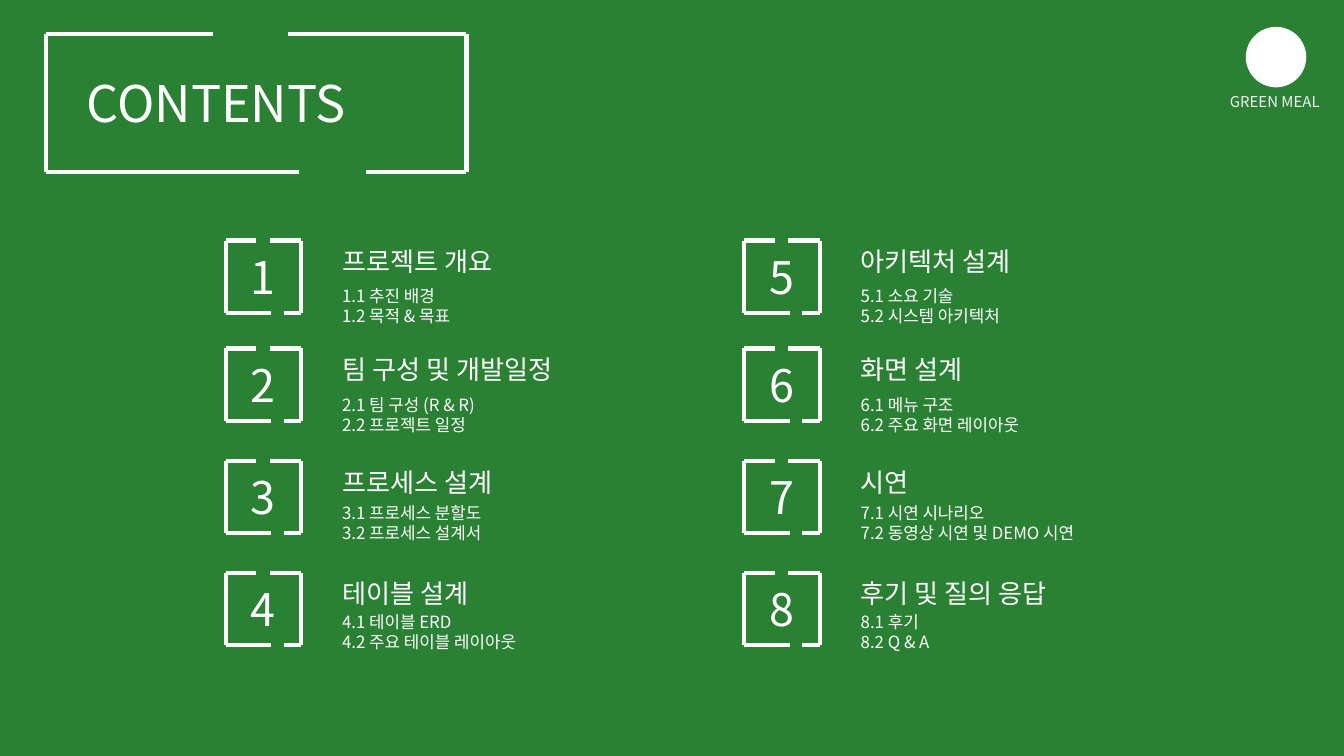
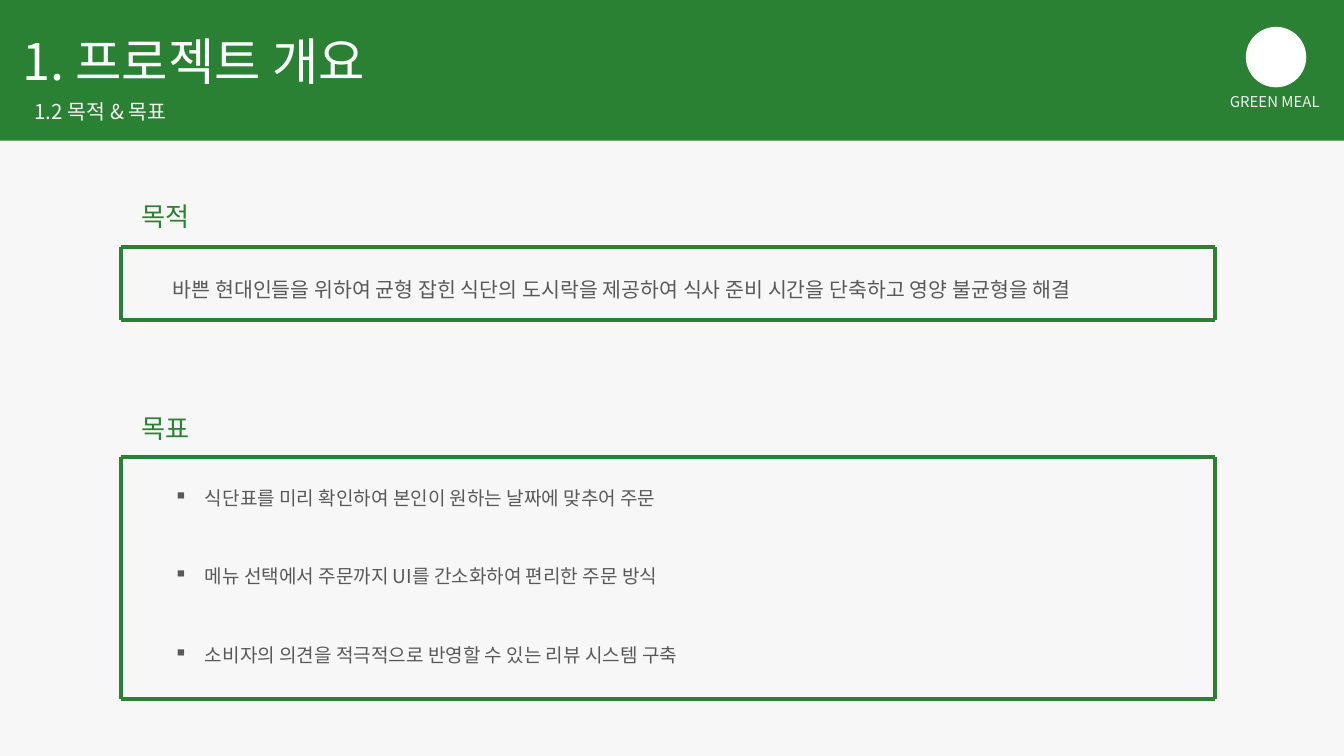
from dataclasses import dataclass

from lxml.etree import SubElement
from pptx import Presentation
from pptx.dml.color import RGBColor
from pptx.enum.shapes import MSO_CONNECTOR, MSO_SHAPE
from pptx.enum.text import MSO_AUTO_SIZE, PP_ALIGN
from pptx.oxml.ns import qn
from pptx.slide import Slide
from pptx.util import Pt


@dataclass(frozen=True)
class Theme:
    font: str = "Noto Sans CJK KR"
    green: str = "2A8033"
    paper: str = "F7F7F7"
    white: str = "FFFFFF"
    soft_white: str = "F2F2F2"
    body: str = "595959"
    title: float = 27
    number: float = 24
    heading: float = 14
    text: float = 11
    bullet: float = 10.2
    detail: float = 9
    brand: float = 8
    stroke: float = 2.25


@dataclass(frozen=True)
class Box:
    left: float
    top: float
    width: float
    height: float


@dataclass(frozen=True)
class Style:
    size: float
    color: str
    align: PP_ALIGN = PP_ALIGN.LEFT
    line_spacing: float = 1.0
    gap: float = 0
    bullet: str = ""
    grows: bool = True


@dataclass(frozen=True)
class Frame:
    """Outline whose top and bottom sides are each drawn in two pieces.

    A side's pair holds where its first piece ends and its second starts,
    measured from the left edge.
    """
    box: Box
    top_split: tuple[float, float]
    bottom_split: tuple[float, float]
    color: str


@dataclass(frozen=True)
class Chapter:
    title: str
    details: tuple[str, str]


THEME = Theme()
SLIDE_WIDTH, SLIDE_HEIGHT = 720, 405
BULLET_INDENT = 16.6

# Contents grid
COLUMN_LEFT, COLUMN_PITCH = 121, 277.8
ROW_TOPS = (128.9, 186.7, 247, 306.8)
DETAIL_TOP, DETAIL_PITCH = 150.5, 58.1

CHAPTERS = (
    Chapter("프로젝트 개요", ("1.1 추진 배경", "1.2 목적 & 목표")),
    Chapter("팀 구성 및 개발일정", ("2.1 팀 구성 (R & R)", "2.2 프로젝트 일정")),
    Chapter("프로세스 설계", ("3.1 프로세스 분할도", "3.2 프로세스 설계서")),
    Chapter("테이블 설계", ("4.1 테이블 ERD", "4.2 주요 테이블 레이아웃")),
    Chapter("아키텍처 설계", ("5.1 소요 기술", "5.2 시스템 아키텍처")),
    Chapter("화면 설계", ("6.1 메뉴 구조", "6.2 주요 화면 레이아웃")),
    Chapter("시연", ("7.1 시연 시나리오", "7.2 동영상 시연 및 DEMO 시연")),
    Chapter("후기 및 질의 응답", ("8.1 후기", "8.2 Q & A")),
)

PURPOSE = ("바쁜 현대인들을 위하여 균형 잡힌 식단의 도시락을 제공하여 "
           "식사 준비 시간을 단축하고 영양 불균형을 해결")
GOALS = (
    "식단표를 미리 확인하여 본인이 원하는 날짜에 맞추어 주문",
    "메뉴 선택에서 주문까지 UI를 간소화하여 편리한 주문 방식",
    "소비자의 의견을 적극적으로 반영할 수 있는 리뷰 시스템 구축",
)


# Drawing helpers
def rgb(color: str) -> RGBColor:
    return RGBColor.from_string(color)


def add_slide(deck: Presentation, background: str) -> Slide:
    slide = deck.slides.add_slide(deck.slide_layouts[6])
    slide.background.fill.solid()
    slide.background.fill.fore_color.rgb = rgb(background)
    return slide


def add_text(slide: Slide, box: Box, lines: tuple[str, ...], style: Style) -> None:
    frame = slide.shapes.add_textbox(
        Pt(box.left), Pt(box.top), Pt(box.width), Pt(box.height)).text_frame
    frame.word_wrap = True
    frame.auto_size = (MSO_AUTO_SIZE.SHAPE_TO_FIT_TEXT if style.grows
                       else MSO_AUTO_SIZE.NONE)
    frame.margin_left = frame.margin_right = Pt(5.4)
    frame.margin_top = frame.margin_bottom = Pt(2.7)
    frame.text = "\n".join(lines)
    for index, paragraph in enumerate(frame.paragraphs):
        paragraph.alignment = style.align
        paragraph.line_spacing = style.line_spacing
        paragraph.space_before = Pt(style.gap if index else 0)
        if style.bullet:
            properties = paragraph._p.get_or_add_pPr()
            properties.set("marL", str(Pt(BULLET_INDENT)))
            properties.set("indent", str(-Pt(BULLET_INDENT)))
            SubElement(properties, qn("a:buChar"), char=style.bullet)
        for run in paragraph.runs:
            run.font.size = Pt(style.size)
            run.font.color.rgb = rgb(style.color)
            run.font.name = THEME.font
            SubElement(run._r.get_or_add_rPr(), qn("a:ea"), typeface=THEME.font)


def add_solid(slide: Slide, kind: MSO_SHAPE, box: Box, color: str) -> None:
    shape = slide.shapes.add_shape(
        kind, Pt(box.left), Pt(box.top), Pt(box.width), Pt(box.height))
    shape.shadow.inherit = False
    shape.fill.solid()
    shape.fill.fore_color.rgb = rgb(color)
    shape.line.fill.background()


def add_frame(slide: Slide, frame: Frame) -> None:
    left, top = frame.box.left, frame.box.top
    right, bottom = left + frame.box.width, top + frame.box.height
    sides = [(left, top, left, bottom), (right, top, right, bottom)]
    for y, (first_end, second_start) in ((top, frame.top_split),
                                         (bottom, frame.bottom_split)):
        sides += [(left, y, left + first_end, y), (left + second_start, y, right, y)]
    group = slide.shapes.add_group_shape()
    for side in sides:
        line = group.shapes.add_connector(
            MSO_CONNECTOR.STRAIGHT, *(Pt(length) for length in side))
        line.line.color.rgb = rgb(frame.color)
        line.line.width = Pt(THEME.stroke)
        SubElement(line._element.spPr, qn("a:effectLst"))


def add_brand(slide: Slide) -> None:
    add_solid(slide, MSO_SHAPE.OVAL, Box(667.4, 14.4, 32.4, 32.4), THEME.white)
    add_text(slide, Box(596.2, 46.8, 173.5, 15.1), ("GREEN MEAL",),
             Style(THEME.brand, THEME.soft_white, PP_ALIGN.CENTER))


# Slide 1: contents
def add_chapter(slide: Slide, index: int, chapter: Chapter) -> None:
    column, row = divmod(index, len(ROW_TOPS))
    left, top = COLUMN_LEFT + column * COLUMN_PITCH, ROW_TOPS[row]
    add_frame(slide, Frame(Box(left, top, 40.3, 38.7), (16.2, 23.6), (24.4, 31),
                           THEME.white))
    add_text(slide, Box(left + 7.9, top + 2.1, 24.5, 34.6), (str(index + 1),),
             Style(THEME.number, THEME.white, PP_ALIGN.CENTER))
    add_text(slide, Box(left + 56.9, top, 209.5, 22.3), (chapter.title,),
             Style(THEME.heading, THEME.white))
    add_text(slide, Box(left + 56.9, DETAIL_TOP + row * DETAIL_PITCH, 218.2, 27.4),
             chapter.details, Style(THEME.detail, THEME.white))


def build_contents(deck: Presentation) -> None:
    slide = add_slide(deck, THEME.green)
    add_text(slide, Box(41, 36, 279.4, 38.2), ("CONTENTS",),
             Style(THEME.title, THEME.white))
    add_frame(slide, Frame(Box(24.5, 18, 225.4, 74.2), (89.8, 129.8), (135.6, 171.6),
                           THEME.white))
    for index, chapter in enumerate(CHAPTERS):
        add_chapter(slide, index, chapter)
    add_brand(slide)


# Slide 2: purpose and goals
def add_section(slide: Slide, heading: str, heading_top: float, frame_top: float,
                frame_height: float) -> None:
    add_text(slide, Box(70.6, heading_top, 63.4, 22.3), (heading,),
             Style(THEME.heading, THEME.green))
    add_frame(slide, Frame(Box(64.8, frame_top, 586.1, frame_height),
                           (232.6, 231), (352, 342), THEME.green))


def build_overview(deck: Presentation) -> None:
    slide = add_slide(deck, THEME.paper)
    # Title band
    add_solid(slide, MSO_SHAPE.RECTANGLE, Box(0, 0, SLIDE_WIDTH, 75.4), THEME.green)
    add_text(slide, Box(6.5, 13.7, 325.4, 38.2), ("1. 프로젝트 개요",),
             Style(THEME.title, THEME.white))
    add_text(slide, Box(13, 50.4, 283, 18.7), ("1.2 목적 & 목표",),
             Style(THEME.text, THEME.soft_white))
    add_brand(slide)
    # Framed sections
    add_section(slide, "목적", 104.4, 132.4, 38.9)
    add_text(slide, Box(87.1, 139, 573.1, 25.2), (PURPOSE,),
             Style(THEME.text, THEME.body, line_spacing=1.5))
    add_section(slide, "목표", 218.2, 244.9, 129.5)
    add_text(slide, Box(87.8, 259.2, 325.4, 100.8), GOALS,
             Style(THEME.bullet, THEME.body, line_spacing=0.9, gap=31, bullet="▪",
                   grows=False))


def main() -> None:
    deck = Presentation()
    deck.slide_width, deck.slide_height = Pt(SLIDE_WIDTH), Pt(SLIDE_HEIGHT)
    build_contents(deck)
    build_overview(deck)
    deck.save("out.pptx")


if __name__ == "__main__":
    main()
